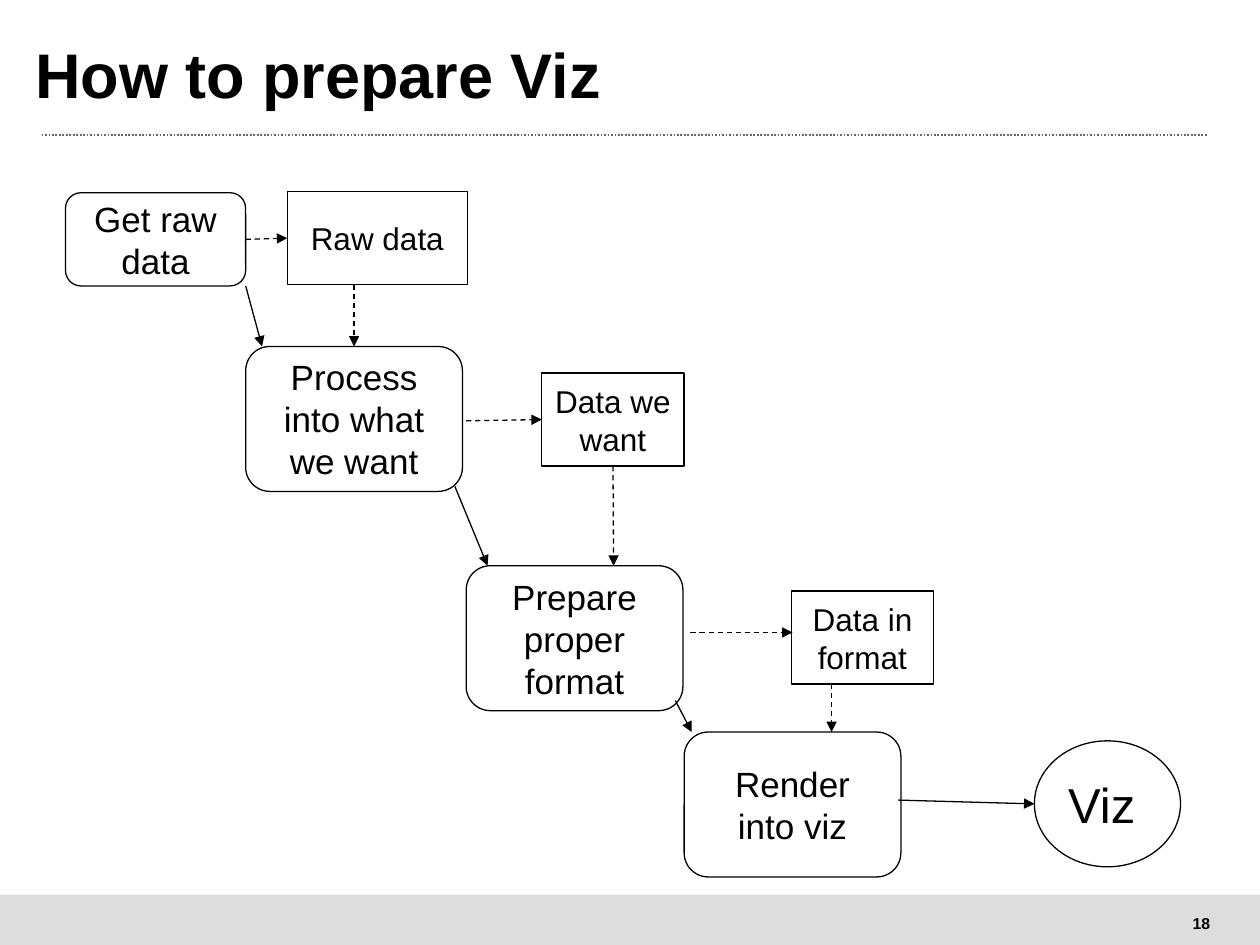
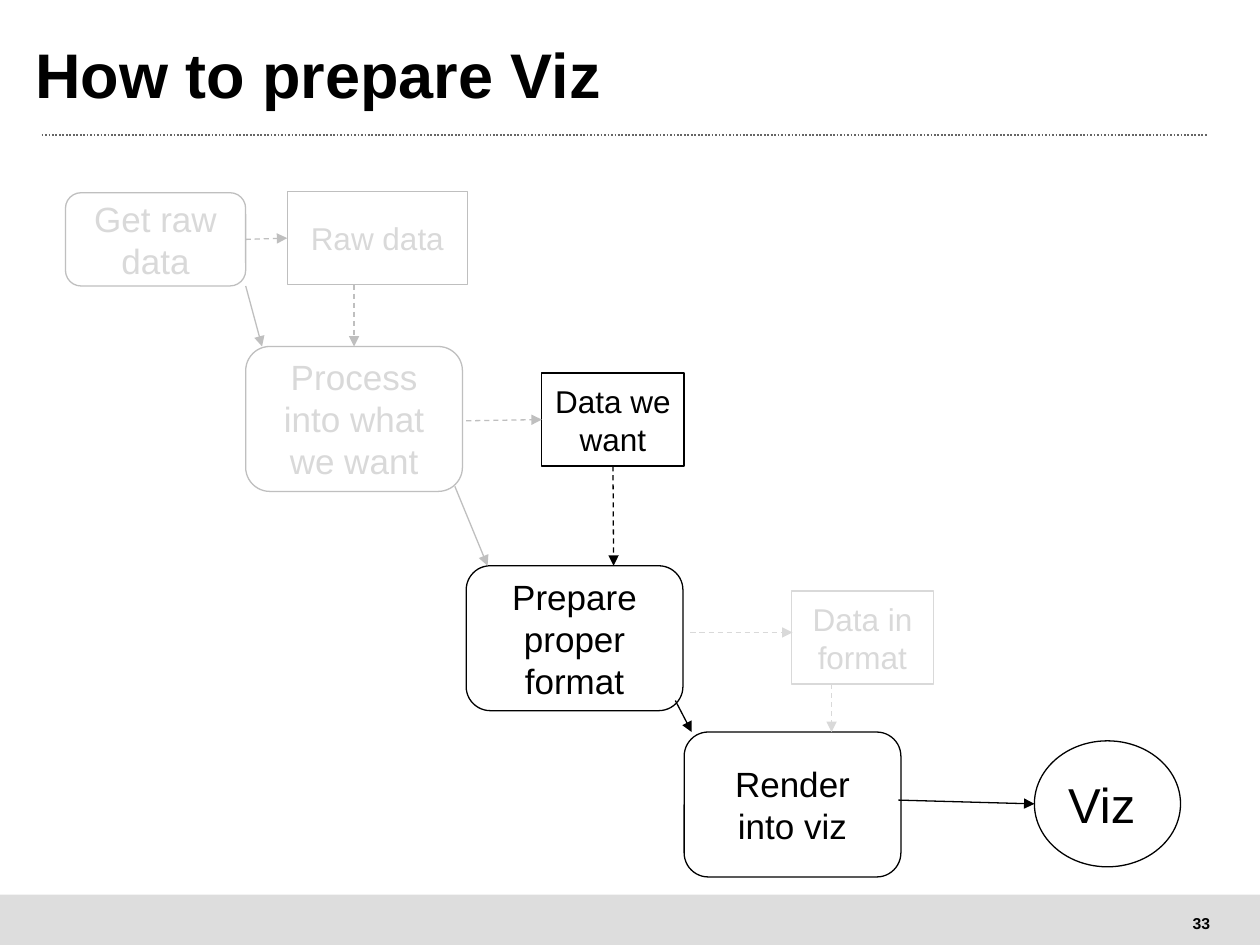
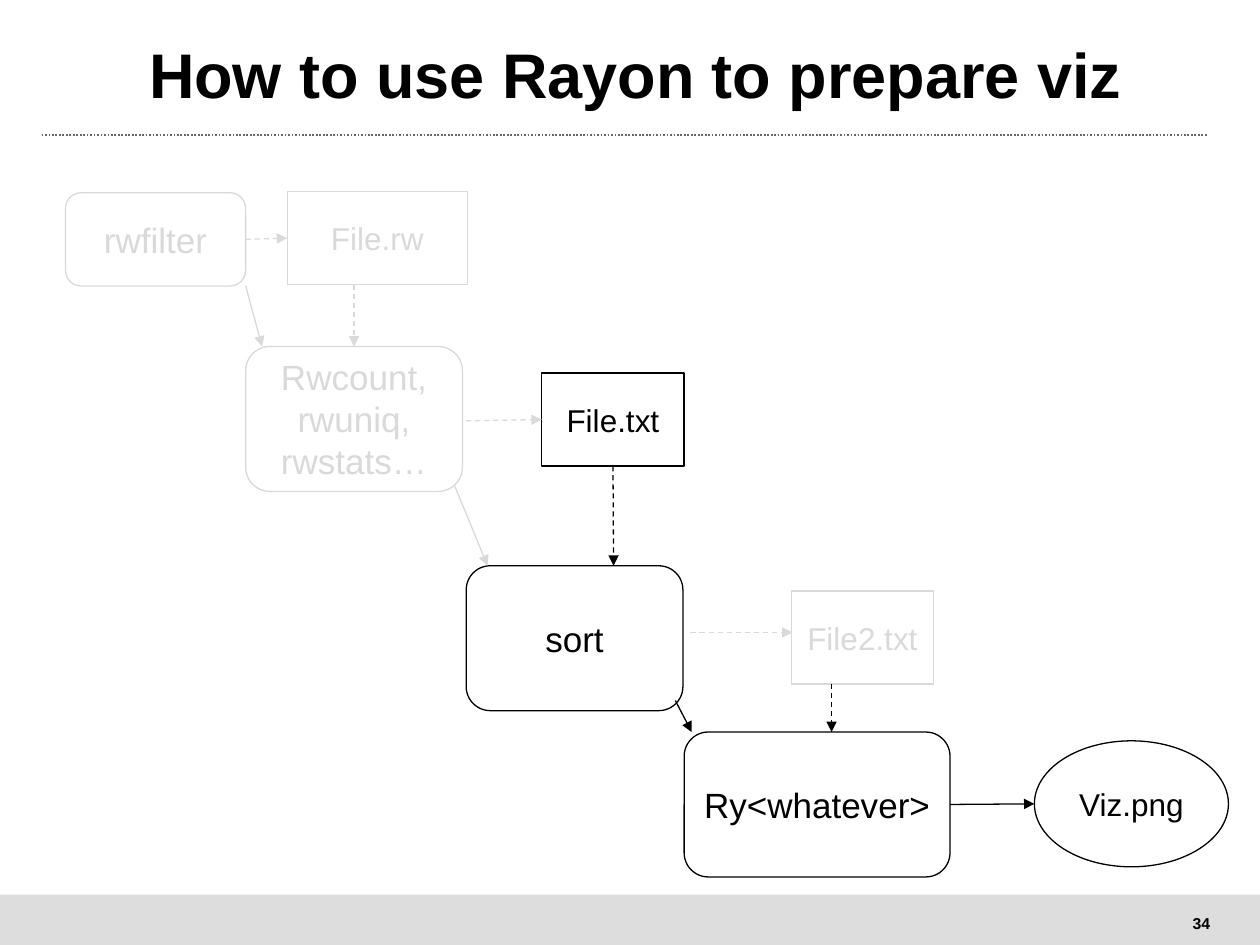
from lxml.etree import SubElement
from pptx import Presentation
from pptx.dml.color import RGBColor
from pptx.enum.dml import MSO_LINE
from pptx.enum.shapes import MSO_CONNECTOR, MSO_SHAPE
from pptx.enum.text import MSO_ANCHOR, PP_ALIGN
from pptx.oxml.ns import qn
from pptx.util import Inches, Pt

# Shared style
COLORS = {"ink": "000000", "dim": "BFBFBF", "faint": "D9D9D9",
          "band": "DDDDDD", "rule": "666666"}
FONT = "Arial"
WIDTH, HEIGHT = 10, 7.5
TOP, LEFT, BOTTOM, RIGHT = range(4)
BOX, STEP, OVAL = MSO_SHAPE.RECTANGLE, MSO_SHAPE.ROUNDED_RECTANGLE, MSO_SHAPE.OVAL
SIZES = {BOX: 18, STEP: 20, OVAL: 28}

# Nodes of the staircase: shape, left, top, width, height
NODES = {
    "raw": (BOX, 2.28, 1.52, 1.43, 0.74),
    "get": (STEP, 0.52, 1.53, 1.43, 0.74),
    "process": (STEP, 1.95, 2.75, 1.72, 1.15),
    "prepare": (STEP, 3.7, 4.49, 1.72, 1.15),
    "wanted": (BOX, 4.3, 2.96, 1.13, 0.74),
    "formatted": (BOX, 6.28, 4.69, 1.13, 0.74),
    "render": (STEP, 5.43, 5.81, 1.72, 1.15),
    "viz": (OVAL, 8.21, 5.88, 1.16, 1),
}

# Arrows: source, target, start, end; an end is a point or the side it joins
ARROWS = [
    ("get", "process", (1.95, 2.27), (2.08, 2.75)),
    ("process", "prepare", (3.61, 3.86), (3.87, 4.49)),
    ("prepare", "render", (5.36, 5.56), (5.49, 5.81)),
    ("get", "raw", RIGHT, LEFT),
    ("process", "wanted", (3.7, 3.34), LEFT),
    ("prepare", "formatted", (5.48, 5.02), (6.29, 5.02)),
    ("render", "viz", (7.13, 6.35), (8.21, 6.38)),
    ("raw", "process", (2.81, 2.26), TOP),
    ("wanted", "prepare", BOTTOM, (4.87, 4.49)),
    ("formatted", "render", (6.6, 5.43), (6.6, 5.81)),
]

GENERIC = {"raw": "Raw data", "get": "Get raw data",
           "process": "Process into what we want",
           "prepare": "Prepare proper format", "wanted": "Data we want",
           "formatted": "Data in format", "render": "Render into viz",
           "viz": "Viz"}
RAYON = {"raw": "File.rw", "get": "rwfilter",
         "process": "Rwcount, rwuniq, rwstats…", "prepare": "sort",
         "wanted": "File.txt", "formatted": "File2.txt",
         "render": "Ry<whatever>", "viz": "Viz.png"}
EARLY = ("raw", "get", "process")

# faded: outline colour of greyed nodes; live: arrows kept black beside them
SLIDES = [
    {"number": 18, "title": "How to prepare Viz", "labels": GENERIC},
    {"number": 33, "title": "How to prepare Viz", "labels": GENERIC,
     "faded": {**dict.fromkeys(EARLY, "dim"), "formatted": "faint"}},
    {"number": 34, "title": "How to use Rayon to prepare viz", "labels": RAYON,
     "title_width": 9.53, "title_align": PP_ALIGN.CENTER,
     "faded": dict.fromkeys(EARLY + ("formatted",), "faint"),
     "live": [("formatted", "render")],
     "widths": {"render": 2.11, "viz": 1.54},
     "viz_size": 18, "viz_align": PP_ALIGN.CENTER,
     "ends": {("render", "viz"): (RIGHT, (8.21, 6.38))}},
]


def rgb(name):
    return RGBColor.from_string(COLORS[name])


def write(sp, text, size, color="ink", bold=False, align=PP_ALIGN.CENTER):
    tf = sp.text_frame
    tf.word_wrap = True
    tf.vertical_anchor = MSO_ANCHOR.MIDDLE
    p = tf.paragraphs[0]
    p.text = text
    p.alignment = align
    p.font.name, p.font.size, p.font.bold = FONT, Pt(size), bold
    p.font.color.rgb = rgb(color)
    return tf


def add_line(s, start, end, color, weight=0.75, dash=None):
    line = s.shapes.add_connector(MSO_CONNECTOR.STRAIGHT,
                                  *map(Inches, start + end))
    line.line.color.rgb = rgb(color)
    line.line.width = Pt(weight)
    if dash:
        line.line.dash_style = dash
    SubElement(line._element.spPr, qn("a:effectLst"))
    return line


def add_frame(s, page):
    # Footer band and page number
    band = s.shapes.add_shape(BOX, 0, Inches(7.1), Inches(WIDTH), Inches(0.4))
    band.shadow.inherit = False
    band.fill.solid()
    band.fill.fore_color.rgb = rgb("band")
    band.line.fill.background()
    number = s.shapes.add_textbox(*map(Inches, (9.36, 7.2, 0.35, 0.25)))
    write(number, str(page["number"]), 9, bold=True).word_wrap = False
    # Title and dotted rule
    add_line(s, (0.33, 1.07), (9.58, 1.07), "rule", 1, MSO_LINE.ROUND_DOT)
    title = s.shapes.add_textbox(
        *map(Inches, (0.28, 0.25, page.get("title_width", 9.27), 0.78)))
    tf = write(title, page["title"], 36, bold=True,
               align=page.get("title_align", PP_ALIGN.LEFT))
    tf.margin_left = tf.margin_right = tf.margin_top = tf.margin_bottom = 0
    tf.paragraphs[0].line_spacing = 0.8


def add_node(s, page, name):
    kind, x, y, w, h = NODES[name]
    w = page.get("widths", {}).get(name, w)
    sp = s.shapes.add_shape(kind, *map(Inches, (x, y, w, h)))
    sp.shadow.inherit = False
    sp.fill.background()
    outline = page.get("faded", {}).get(name, "ink")
    sp.line.color.rgb = rgb(outline)
    sp.line.width = Pt(0.75)
    size, align = SIZES[kind], PP_ALIGN.CENTER
    if kind == OVAL:
        size = page.get("viz_size", size)
        align = page.get("viz_align", PP_ALIGN.LEFT)
    write(sp, page["labels"][name], size,
          "ink" if outline == "ink" else "faint", align=align)
    return sp


def add_arrow(s, page, nodes, source, target, start, end):
    link = (source, target)
    start, end = page.get("ends", {}).get(link, (start, end))
    faded = page.get("faded", {})
    color = faded.get(source) or faded.get(target) or "ink"
    if link in page.get("live", []):
        color = "ink"
    # Arrows to and from data boxes are dashed
    dash = MSO_LINE.DASH if BOX in (NODES[source][0], NODES[target][0]) else None
    joined_start, joined_end = isinstance(start, int), isinstance(end, int)
    line = add_line(s, (0, 0) if joined_start else start,
                    (0, 0) if joined_end else end, color, dash=dash)
    if joined_start:
        line.begin_connect(nodes[source], start)
    if joined_end:
        line.end_connect(nodes[target], end)
    SubElement(line.line._get_or_add_ln(), qn("a:tailEnd"), type="triangle")


def main():
    prs = Presentation()
    prs.slide_width, prs.slide_height = Inches(WIDTH), Inches(HEIGHT)
    for page in SLIDES:
        s = prs.slides.add_slide(prs.slide_layouts[6])
        add_frame(s, page)
        nodes = {name: add_node(s, page, name) for name in NODES}
        for arrow in ARROWS:
            add_arrow(s, page, nodes, *arrow)
    prs.save("out.pptx")


if __name__ == "__main__":
    main()
